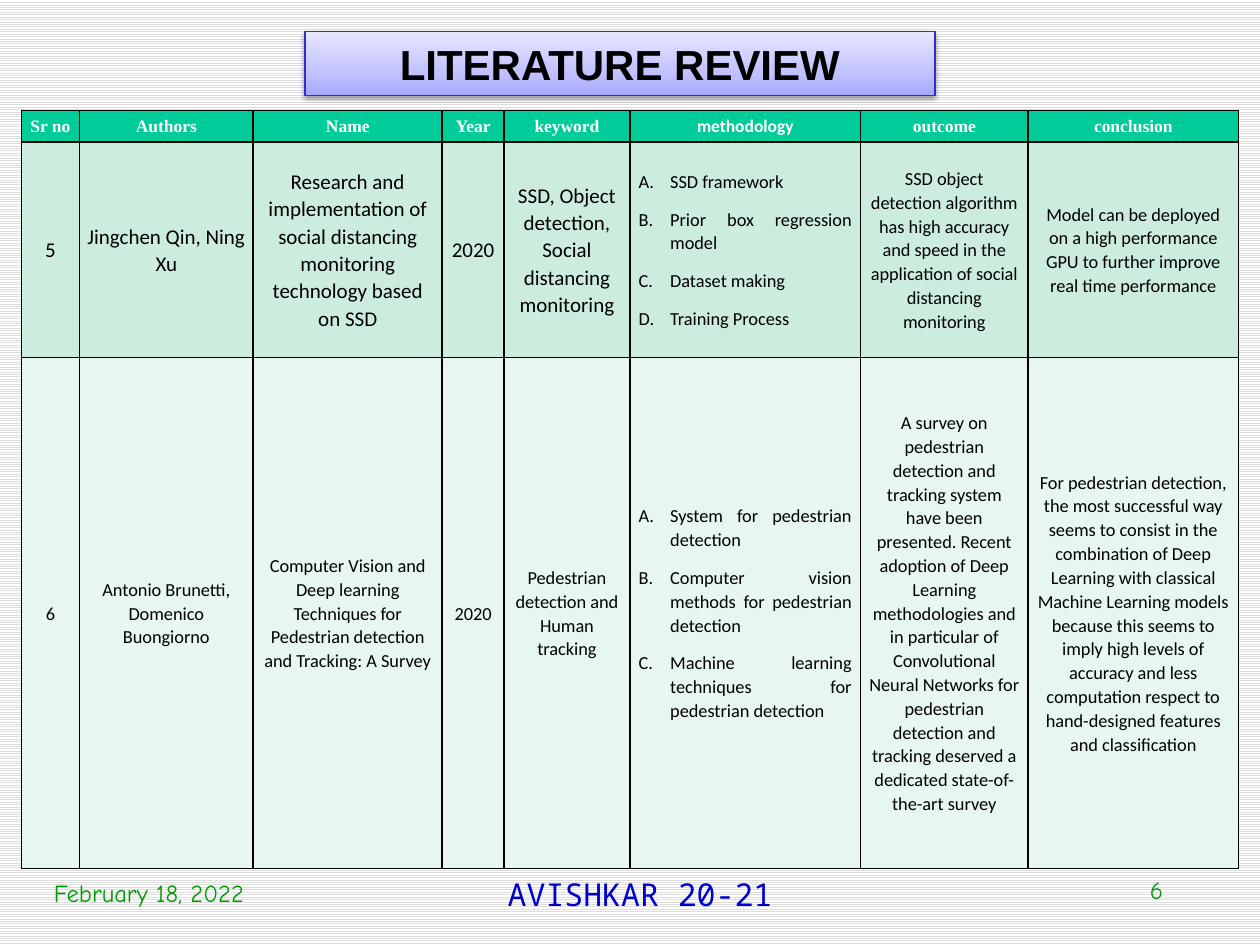
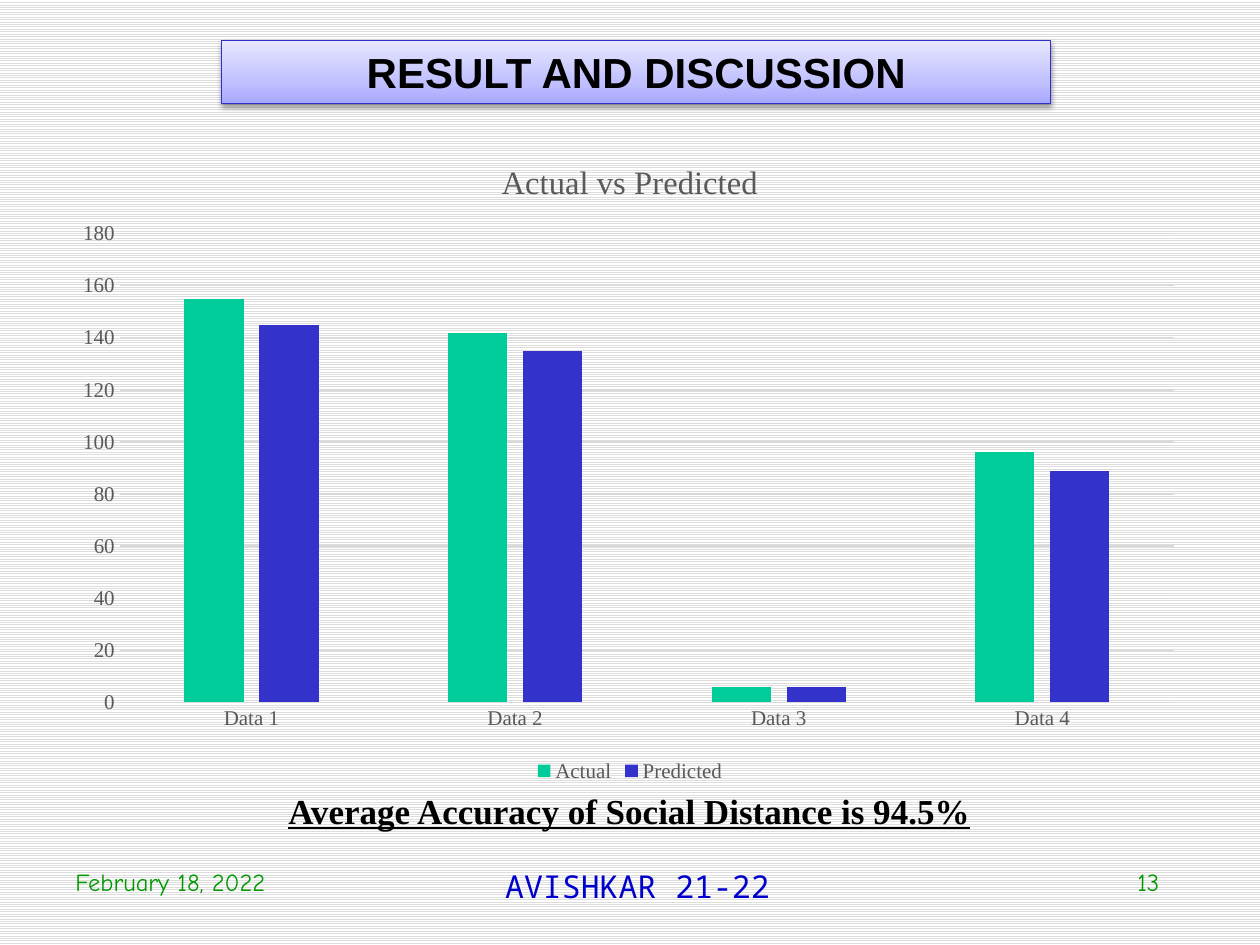
from pptx import Presentation
from pptx.chart.data import CategoryChartData as Data
from pptx.dml.color import RGBColor as RGB
from pptx.enum.chart import XL_CHART_TYPE as Kind, XL_LEGEND_POSITION as Spot, XL_TICK_MARK as Tick
from pptx.enum.dml import MSO_PATTERN as Pat
from pptx.enum.text import MSO_ANCHOR as Anchor, MSO_AUTO_SIZE as Auto, PP_ALIGN as Align
from pptx.oxml import parse_xml
from pptx.oxml.ns import nsdecls
from pptx.util import Inches, Pt


def hue(code):
    return RGB.from_string(code)


def style(font, fmt):
    for key, val in fmt.items():
        if key == "color":
            font.color.rgb = hue(val)
        else:
            setattr(font, key, val)


deck = Presentation()
deck.slide_width, deck.slide_height = Inches(10), Inches(7.5)
wide, high = deck.slide_width / 100, deck.slide_height / 100
main = nsdecls("a")

head = {"name": "Arial", "size": Pt(24), "bold": True, "color": "000000"}
green = {"name": "Comic Neue", "size": Pt(14), "color": "009900"}
event = {"name": "Noto Sans Mono", "size": Pt(18), "color": "0000CC"}
claim = {"name": "Times New Roman", "size": Pt(20), "bold": True, "underline": True, "color": "000000"}
grey = {"name": "Times New Roman", "size": Pt(12), "bold": False, "color": "595959"}
left, mid, right = Align.LEFT, Align.CENTER, Align.RIGHT

pages = [
    ("LITERATURE REVIEW", (24.2, 3.33, 50, 6.75), [
        ("February 18, 2022", (3.3, 92.3, 23.3, 6.7), left, green),
        ("AVISHKAR 20-21", (30.8, 91.9, 40, 6.7), mid, event),
        ("6", (72.5, 91.9, 20.8, 6.7), right, green)]),
    ("RESULT AND DISCUSSION", (17.6, 4.27, 65.8, 6.7), [
        ("February 18, 2022", (5, 91.1, 23.3, 6.7), left, green),
        ("AVISHKAR 21-22", (30.6, 91.1, 40, 6.7), mid, event),
        ("13", (72.2, 91.1, 20.8, 6.7), right, green),
        ("Average Accuracy of Social Distance is 94.5%", (0.8, 82.9, 98.3, 5.9), mid, claim)]),
]

stops = "".join(
    f'<a:gs pos="{pos}000"><a:srgbClr val="{tint}"/></a:gs>'
    for pos, tint in [(0, "A7A7FF"), (35, "C1C1FF"), (100, "E7E7FF")])
blend = f'<a:gradFill {main} rotWithShape="1"><a:gsLst>{stops}</a:gsLst><a:lin ang="16200000" scaled="0"/></a:gradFill>'
shade = (f'<a:effectLst {main}><a:outerShdw blurRad="{Pt(3.1)}" dist="{Pt(1.6)}" dir="5400000" rotWithShape="0">'
         '<a:srgbClr val="000000"><a:alpha val="38000"/></a:srgbClr></a:outerShdw></a:effectLst>')

slides = []
for name, area, notes in pages:
    slide = deck.slides.add_slide(deck.slide_layouts[5])
    slides.append(slide)
    back = slide.background.fill
    back.patterned()
    back.pattern = Pat.LIGHT_HORIZONTAL
    back.fore_color.rgb, back.back_color.rgb = hue("DDDDDD"), hue("FFFFFF")

    title = slide.shapes.title
    x, y, w, h = area
    title.left, title.top = int(x * wide), int(y * high)
    title.width, title.height = int(w * wide), int(h * high)
    title.element.spPr.append(parse_xml(blend))
    title.line.color.rgb, title.line.width = hue("2E2ECB"), Pt(0.75)
    title.element.spPr.append(parse_xml(shade))
    title.text_frame.auto_size = Auto.NONE
    title.text_frame.vertical_anchor = Anchor.MIDDLE
    title.text_frame.text = name
    para = title.text_frame.paragraphs[0]
    para.alignment = mid
    style(para.runs[0].font, head)

    for text, (x, y, w, h), side, fmt in notes:
        box = slide.shapes.add_textbox(int(x * wide), int(y * high), int(w * wide), int(h * high))
        box.text_frame.word_wrap = True
        box.text_frame.text = text
        para = box.text_frame.paragraphs[0]
        para.alignment = side
        style(para.runs[0].font, fmt)

review, result = slides

rows = [
    ["Sr no", "Authors", "Name", "Year", "keyword", "methodology", "outcome", "conclusion"],
    ["5", "Jingchen Qin, Ning Xu",
     "Research and implementation of social distancing monitoring technology based on SSD",
     "2020", "SSD, Object detection, Social distancing monitoring",
     "SSD framework\nPrior box regression model\nDataset making\nTraining Process",
     "SSD object detection algorithm has high accuracy and speed in the application of social distancing monitoring",
     "Model can be deployed on a high performance GPU to further improve real time performance"],
    ["6", "Antonio Brunetti, Domenico Buongiorno",
     "Computer Vision and Deep learning Techniques for Pedestrian detection and Tracking: A Survey",
     "2020", "Pedestrian detection and Human tracking",
     "System for pedestrian detection\nComputer vision methods for pedestrian detection\n"
     "Machine learning techniques for pedestrian detection",
     "A survey on pedestrian detection and tracking system have been presented. Recent adoption of Deep Learning "
     "methodologies and in particular of Convolutional Neural Networks for pedestrian detection and tracking "
     "deserved a dedicated state-of-the-art survey",
     "For pedestrian detection, the most successful way seems to consist in the combination of Deep Learning with "
     "classical Machine Learning models because this seems to imply high levels of accuracy and less computation "
     "respect to hand-designed features and classification"],
]
cols = [4.6, 13.8, 15, 4.9, 10, 18.3, 13.3, 16.7]
tall = [3.33, 22.8, 54.1]
fills = ["00CC99", "CCECDE", "E7F6EF"]
steps = 5
table = review.shapes.add_table(
    len(rows), len(cols), int(1.7 * wide), int(11.7 * high),
    int(sum(cols) * wide), int(sum(tall) * high)).table
for col, share in zip(table.columns, cols):
    col.width = int(share * wide)
for r, row in enumerate(rows):
    table.rows[r].height = int(tall[r] * high)
    for c, text in enumerate(row):
        cell = table.cell(r, c)
        large = r == 1 and c < steps
        listed = r > 0 and c == steps
        xpad, ypad = (0.05, 0.03) if r == 0 else (0.06, 0.03) if large else (0.07, 0.04)
        pads = {"margin_left": xpad, "margin_right": xpad, "margin_top": ypad, "margin_bottom": ypad}
        for key, val in pads.items():
            setattr(cell, key, Inches(val))
        cell.vertical_anchor = Anchor.MIDDLE
        cell.fill.solid()
        cell.fill.fore_color.rgb = hue(fills[r])
        props = cell._tc.get_or_add_tcPr()
        for spot, edge in enumerate("LRTB"):
            props.insert(spot, parse_xml(
                f'<a:ln{edge} {main} w="{Pt(1)}"><a:solidFill><a:srgbClr val="000000"/></a:solidFill></a:ln{edge}>'))
        fmt = {"name": "Times New Roman" if r == 0 and c != steps else "Calibri",
               "size": Pt(10 if r == 0 else 12 if large else 10.5),
               "bold": r == 0, "color": "FFFFFF" if r == 0 else "000000"}
        cell.text_frame.text = text
        for para in cell.text_frame.paragraphs:
            para.alignment = Align.JUSTIFY if listed else mid
            para.line_spacing, para.space_after = 1.07, Pt(8)
            style(para.runs[0].font, fmt)
            if listed:
                mark = para._p.get_or_add_pPr()
                mark.set("marL", str(Inches(0.25)))
                mark.set("indent", str(Inches(-0.25)))
                mark.append(parse_xml(f'<a:buAutoNum {main} type="alphaUcPeriod"/>'))

data = Data()
data.categories = [f"Data {n}" for n in range(1, 5)]
data.add_series("Actual", (155, 142, 6, 96))
data.add_series("Predicted", (145, 135, 6, 89))
chart = result.shapes.add_chart(
    Kind.COLUMN_CLUSTERED, int(5 * wide), int(14.4 * high), int(90 * wide), int(68.9 * high), data).chart
style(chart.font, grey)
chart.has_title = True
chart.chart_title.text_frame.text = "Actual vs Predicted"
style(chart.chart_title.text_frame.paragraphs[0].runs[0].font, grey | {"size": Pt(18.6)})
chart.chart_title.include_in_layout = False
chart.has_legend = True
chart.legend.position = Spot.BOTTOM
chart.legend.include_in_layout = False
style(chart.legend.font, grey)

plot = chart.plots[0]
plot.gap_width, plot.overlap, plot.vary_by_categories = 219, -27, False
for bar, tint in zip(plot.series, ["00CC99", "3333CC"]):
    bar.format.fill.solid()
    bar.format.fill.fore_color.rgb = hue(tint)

value, group = chart.value_axis, chart.category_axis
for axis in (value, group):
    axis.major_tick_mark = axis.minor_tick_mark = Tick.NONE
    style(axis.tick_labels.font, grey)
value.maximum_scale, value.minimum_scale, value.major_unit = 180, 0, 20
value.has_major_gridlines = True
value.format.line.fill.background()
for line in (value.major_gridlines.format.line, group.format.line):
    line.color.rgb, line.width = hue("D9D9D9"), Pt(0.75)

space = chart._chartSpace.chart
for old in space.plotArea.findall("{*}layout"):
    space.plotArea.remove(old)
zone = {"xMode": "edge", "yMode": "edge", "x": 0.05, "y": 0.15, "w": 0.93, "h": 0.72}
parts = "".join(f'<c:{key} val="{val}"/>' for key, val in zone.items())
space.plotArea.insert(0, parse_xml(
    f'<c:layout {nsdecls("c")}><c:manualLayout><c:layoutTarget val="inner"/>{parts}</c:manualLayout></c:layout>'))

deck.save("out.pptx")
